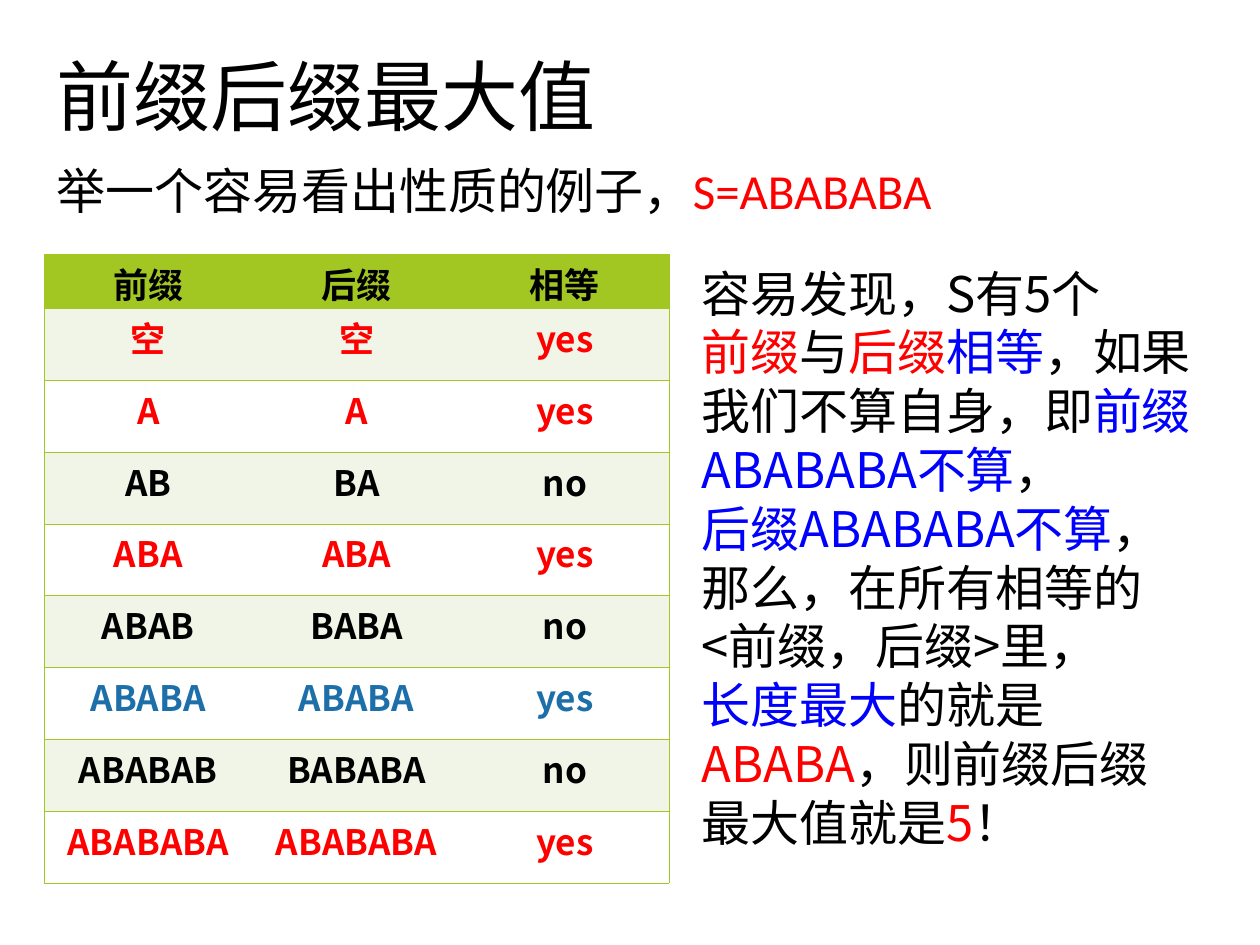
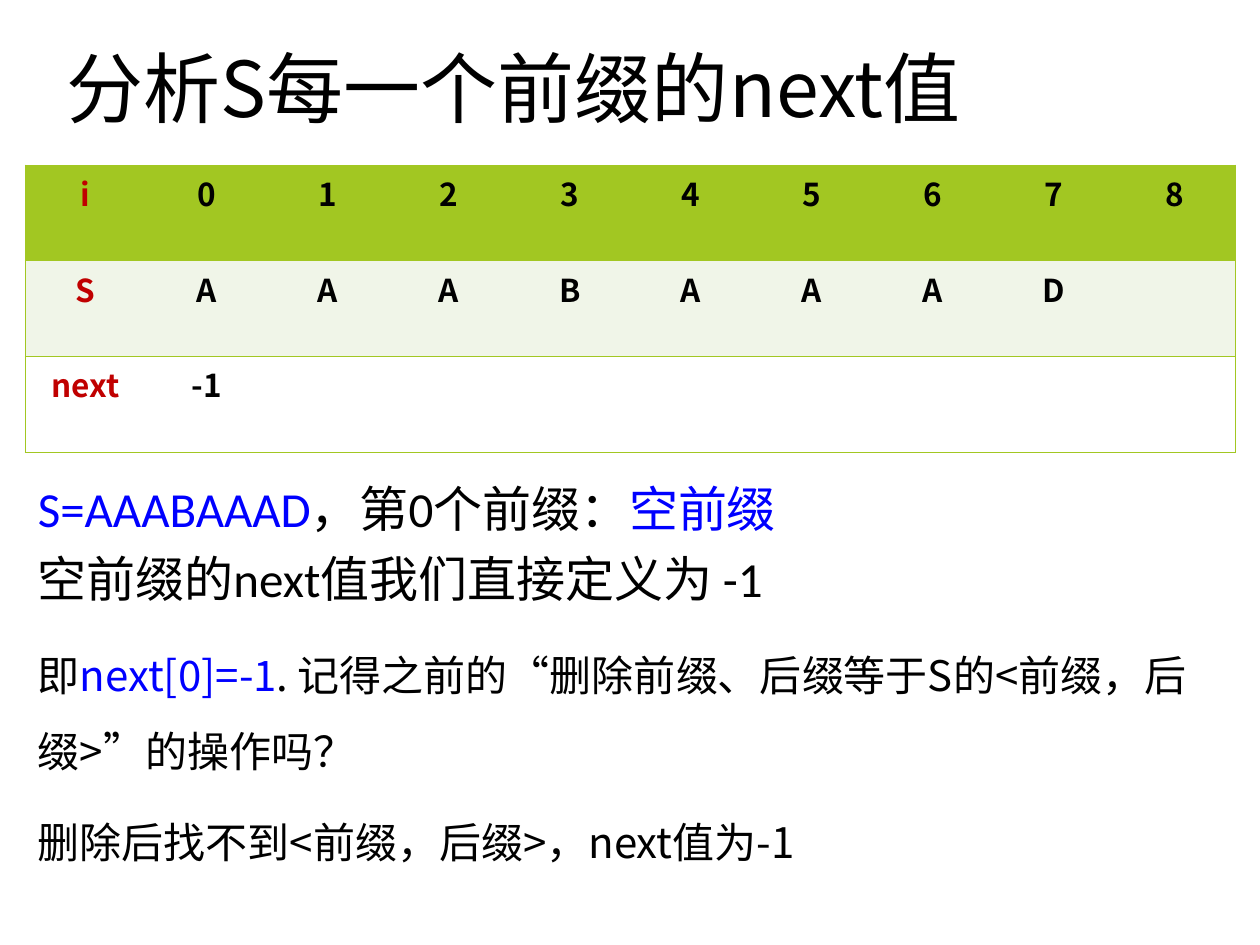
from pptx import Presentation
from pptx import util as u
from pptx.dml.color import RGBColor
from pptx.enum import text
from pptx.oxml import ns, xmlchemy

CJK, LATIN = "Noto Sans CJK SC", "Calibri"
BLACK, WHITE, RED, BLUE = "000000", "FFFFFF", "FF0000", "0000FF"
GREEN, PALE, TEAL, DARK = "A2C722", "F0F5E8", "1D6FA9", "C00000"
PLAIN = "{2D5ABB26-0587-4C30-8999-92F81FD0307C}"  # table style without grid


def color(code):
    return RGBColor.from_string(code)


def place(shape, box):
    shape.left, shape.top, shape.width, shape.height = map(u.Inches, box)


def element(parent, tag, **attrs):
    node = xmlchemy.OxmlElement(tag)
    for key, value in attrs.items():
        node.set(key, value)
    parent.append(node)
    return node


def style(para, size, face=CJK, tint=BLACK, bold=False):
    font = para.font
    font.size, font.name, font.bold = u.Pt(size), face, bold
    font.color.rgb = color(tint)
    props = para._p.pPr.find(ns.qn("a:defRPr"))
    element(props, "a:ea", typeface=CJK)


def write(para, runs):
    """Add runs, each a plain string or a (string, colour) pair."""
    for item in runs:
        words, tint = item if isinstance(item, tuple) else (item, None)
        run = para.add_run()
        run.text = words
        if tint:
            run.font.color.rgb = color(tint)


def fill_text(frame, lines, plain=False):
    """Each line is (runs, size, face, line height, space before)."""
    frame.word_wrap = True
    frame.auto_size = text.MSO_AUTO_SIZE.NONE
    frame.vertical_anchor = text.MSO_ANCHOR.TOP
    for i, (runs, size, face, pitch, gap) in enumerate(lines):
        para = frame.add_paragraph() if i else frame.paragraphs[0]
        if plain:
            props = para._p.get_or_add_pPr()
            props.set("marL", "0")
            props.set("indent", "0")
            element(props, "a:buNone")
        para.line_spacing = u.Pt(pitch)
        para.space_before = u.Pt(gap if i else 0)
        style(para, size, face)
        write(para, runs)


def add_page(deck, title, title_box, lines, body_box):
    page = deck.slides.add_slide(deck.slide_layouts[1])
    head, body = page.shapes.title, page.placeholders[1]
    place(head, title_box)
    frame = head.text_frame
    frame.auto_size = text.MSO_AUTO_SIZE.NONE
    frame.vertical_anchor = text.MSO_ANCHOR.MIDDLE
    para = frame.paragraphs[0]
    para.alignment = text.PP_ALIGN.LEFT
    para.line_spacing = 0.9
    style(para, 44)
    write(para, [title])
    place(body, body_box)
    fill_text(body.text_frame, lines, plain=True)
    return page


def add_note(page, box, lines):
    note = page.shapes.add_textbox(*map(u.Inches, box))
    fill_text(note.text_frame, lines)


def border(cell, sides):
    """Draw the named sides; the fill must come after the lines."""
    props = cell._tc.get_or_add_tcPr()
    for side in sides:
        line = element(props, "a:ln" + side, w=str(u.Pt(0.45)))
        element(element(line, "a:solidFill"), "a:srgbClr", val=GREEN)


def add_grid(page, box, rows, heights, size, tint):
    """Add a table; tint(row, column) gives the text colour."""
    last = len(rows[0]) - 1
    frame = page.shapes.add_table(len(rows), last + 1, *map(u.Inches, box))
    table = frame.table
    table.first_row = table.horz_banding = False
    table._tbl.tblPr.find(ns.qn("a:tableStyleId")).text = PLAIN
    for row, height in zip(table.rows, heights):
        row.height = u.Inches(height)
    for r, row in enumerate(rows):
        for c, words in enumerate(row):
            cell = table.cell(r, c)
            border(cell, ["L"] * (c == 0) + ["R"] * (c == last) + ["T", "B"])
            cell.fill.solid()
            shade = GREEN if r == 0 else PALE if r % 2 else WHITE
            cell.fill.fore_color.rgb = color(shade)
            cell.margin_top, cell.margin_bottom = u.Inches(0.15), 0
            para = cell.text_frame.paragraphs[0]
            para.alignment = text.PP_ALIGN.CENTER
            para.line_spacing = u.Pt(size)
            style(para, size, tint=tint(r, c), bold=True)
            if words:
                write(para, [words])


def add_border_page(deck):
    intro = ["举一个容易看出性质的例子，", ("S=ABABABA", RED)]
    page = add_page(deck, "前缀后缀最大值", (0.35, 0.07, 8.62, 1.45),
                    [(intro, 28, LATIN, 33, 0)], (0.35, 1.23, 9.32, 6.06))

    # Explanation beside the table
    notes = [
        ["容易发现，S有5个"],
        [("前缀", RED), "与", ("后缀", RED), ("相等", BLUE),
         "，如果我们不算自身，即", ("前缀ABABABA不算", BLUE), "，"],
        [("后缀ABABABA不算", BLUE), "，"],
        ["那么，在所有相等的"],
        ["<前缀，后缀>里，"],
        [("长度最大", BLUE), "的就是 ", ("ABABA", RED), "，则前缀后缀"],
        ["最大值就是", ("5", RED), "！"],
    ]
    add_note(page, (5.47, 2.04, 4.25, 5.4),
             [(runs, 28, CJK, 33.6, 0) for runs in notes])

    # Every prefix of S against the suffix of the same length
    word = "ABABABA"
    rows = [("前缀", "后缀", "相等"), ("空", "空", "yes")]
    for n in range(1, len(word) + 1):
        pre, post = word[:n], word[-n:]
        rows.append((pre, post, "yes" if pre == post else "no"))

    def tint(r, c):
        if rows[r][0] == "ABABA":
            return TEAL
        return RED if rows[r][2] == "yes" else BLACK

    add_grid(page, (0.35, 2.02, 4.96, 5), rows, [0.43] + [0.57] * 8, 20, tint)


def add_next_page(deck):
    lines = [
        ([("S=AAABAAAD", BLUE), "，第0个前缀：", ("空前缀", BLUE)],
         28, LATIN, 33, 0),
        (["空前缀的next值我们直接定义为 -1"], 28, LATIN, 33, 7),
        (["即", ("next[0]=-1", BLUE),
          ". 记得之前的“删除前缀、后缀等于S的<前缀，后缀>”的操作吗？"],
         24, CJK, 43.4, 9),
        (["删除后找不到<前缀，后缀>，next值为-1"], 24, CJK, 43.4, 9),
    ]
    page = add_page(deck, "分析S每一个前缀的next值", (0.43, 0.01, 8.63, 1.45),
                    lines, (0.2, 3.76, 9.61, 3.54))

    # Index, letter and next value
    rows = [["i", *map(str, range(9))],
            ["S", *"AAABAAAD", ""],
            ["next", "-1"] + [""] * 8]
    add_grid(page, (0.2, 1.31, 9.61, 2.28), rows, [0.76] * 3, 18,
             lambda r, c: BLACK if c else DARK)


def main():
    deck = Presentation()
    deck.slide_width, deck.slide_height = u.Inches(10), u.Inches(7.5)
    add_border_page(deck)
    add_next_page(deck)
    deck.save("out.pptx")


if __name__ == "__main__":
    main()
